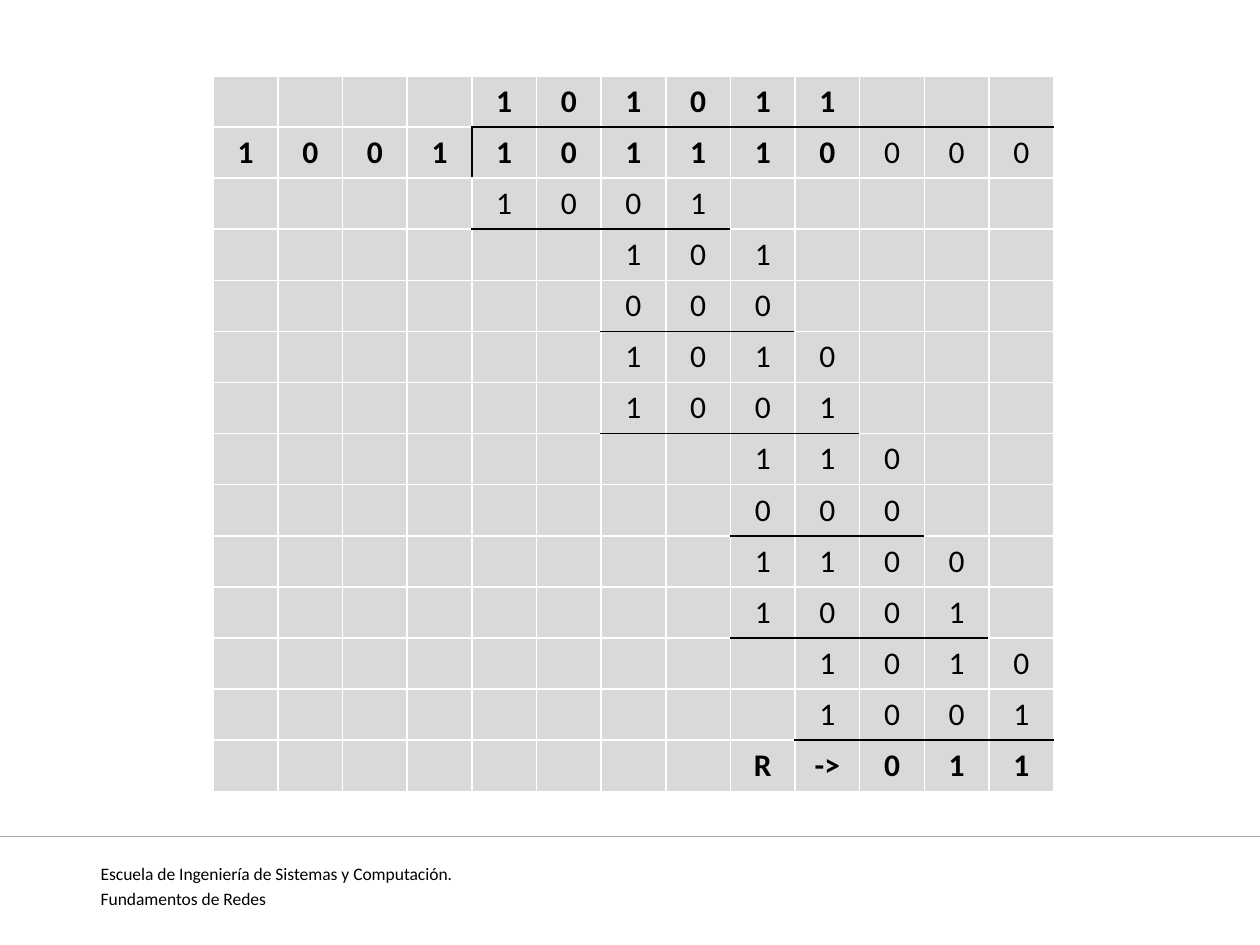
import pptx
import pptx.util
import pptx.dml.color
import pptx.enum.shapes
import pptx.enum.text
import pptx.oxml
import pptx.oxml.ns

Pt = pptx.util.Pt
RGBColor = pptx.dml.color.RGBColor
ALIGN = pptx.enum.text.PP_ALIGN

BLACK = RGBColor(0x00, 0x00, 0x00)
WHITE = RGBColor(0xFF, 0xFF, 0xFF)
CELL_GREY = RGBColor(0xD9, 0xD9, 0xD9)
RULE_GREY = RGBColor(0xAE, 0xAE, 0xAE)
FONT = "Calibri"

COLUMNS = 13
DIVIDEND_COLUMN = 4
DIVIDEND_ROW = 1
DIVISION = [
    (4, "1 0 1 0 1 1"),
    (0, "1 0 0 1 1 0 1 1 1 0 0 0 0"),
    (4, "1 0 0 1"),
    (6, "1 0 1"),
    (6, "0 0 0"),
    (6, "1 0 1 0"),
    (6, "1 0 0 1"),
    (8, "1 1 0"),
    (8, "0 0 0"),
    (8, "1 1 0 0"),
    (8, "1 0 0 1"),
    (9, "1 0 1 0"),
    (9, "1 0 0 1"),
    (8, "R -> 0 1 1"),
]
REMAINDER_ROW = len(DIVISION) - 1
PADDING_COLUMN = 10


def add_span(para, text, size, bold=False):
    span = para.add_run()
    span.text = text
    span.font.name = FONT
    span.font.size = Pt(size)
    span.font.bold = bold
    span.font.color.rgb = BLACK


def is_ruled_below(row, column):
    if row < 0 or row % 2:
        return False
    start, text = DIVISION[row]
    end = COLUMNS if row == 0 else start + len(text.split())
    return start <= column < end


def is_bold(row, column):
    if row == DIVIDEND_ROW:
        return column < PADDING_COLUMN
    return row in (0, REMAINDER_ROW)


def set_borders(cell, colors):
    properties = cell._tc.get_or_add_tcPr()
    for index, (side, color) in enumerate(colors.items()):
        border = pptx.oxml.parse_xml(
            f'<a:ln{side} {pptx.oxml.ns.nsdecls("a")} w="{Pt(1)}">'
            f'<a:solidFill><a:srgbClr val="{color}"/></a:solidFill></a:ln{side}>'
        )
        properties.insert(index, border)


def add_division_table(page, left, top, width, height):
    rows = len(DIVISION)
    table = page.shapes.add_table(
        rows, COLUMNS, Pt(left), Pt(top), Pt(width), Pt(height)
    ).table
    table.first_row = False
    table.horz_banding = False
    for column in table.columns:
        column.width = Pt(width / COLUMNS)
    for row, (start, text) in enumerate(DIVISION):
        table.rows[row].height = Pt(height / rows)
        symbols = dict(enumerate(text.split(), start))
        for column in range(COLUMNS):
            cell = table.cell(row, column)
            cell.fill.solid()
            cell.fill.fore_color.rgb = CELL_GREY
            black_sides = {
                "L": row == DIVIDEND_ROW and column == DIVIDEND_COLUMN,
                "R": row == DIVIDEND_ROW and column + 1 == DIVIDEND_COLUMN,
                "T": is_ruled_below(row - 1, column),
                "B": is_ruled_below(row, column),
            }
            set_borders(cell, {
                side: BLACK if black else WHITE
                for side, black in black_sides.items()
            })
            if column in symbols:
                para = cell.text_frame.paragraphs[0]
                para.alignment = ALIGN.CENTER
                add_span(para, symbols[column], 18, is_bold(row, column))


def add_footer(page, left, top, width, height):
    rule = page.shapes.add_connector(
        pptx.enum.shapes.MSO_CONNECTOR.STRAIGHT,
        Pt(left), Pt(top), Pt(left + width), Pt(top),
    )
    rule.line.color.rgb = RULE_GREY
    rule.line.width = Pt(0.75)
    rule._element.spPr.append(
        pptx.oxml.parse_xml(f'<a:effectLst {pptx.oxml.ns.nsdecls("a")}/>')
    )
    box = page.shapes.add_textbox(
        Pt(left + 50.4), Pt(top + 11.5), Pt(width - 73.4), Pt(height)
    )
    frame = box.text_frame
    frame.word_wrap = True
    lines = ["Escuela de Ingeniería de Sistemas y Computación.", "Fundamentos de Redes"]
    for index, line in enumerate(lines):
        para = frame.add_paragraph() if index else frame.paragraphs[0]
        para.alignment = ALIGN.JUSTIFY
        para.space_before = Pt(2 * index)
        add_span(para, line, 10)


def main():
    deck = pptx.Presentation()
    deck.slide_width = Pt(720)
    deck.slide_height = Pt(540)
    page = deck.slides.add_slide(deck.slide_layouts[6])
    add_footer(page, 0, 478.1, 720, 28)
    add_division_table(page, 121.9, 43.4, 480.2, 408.8)
    deck.save("out.pptx")


if __name__ == "__main__":
    main()
